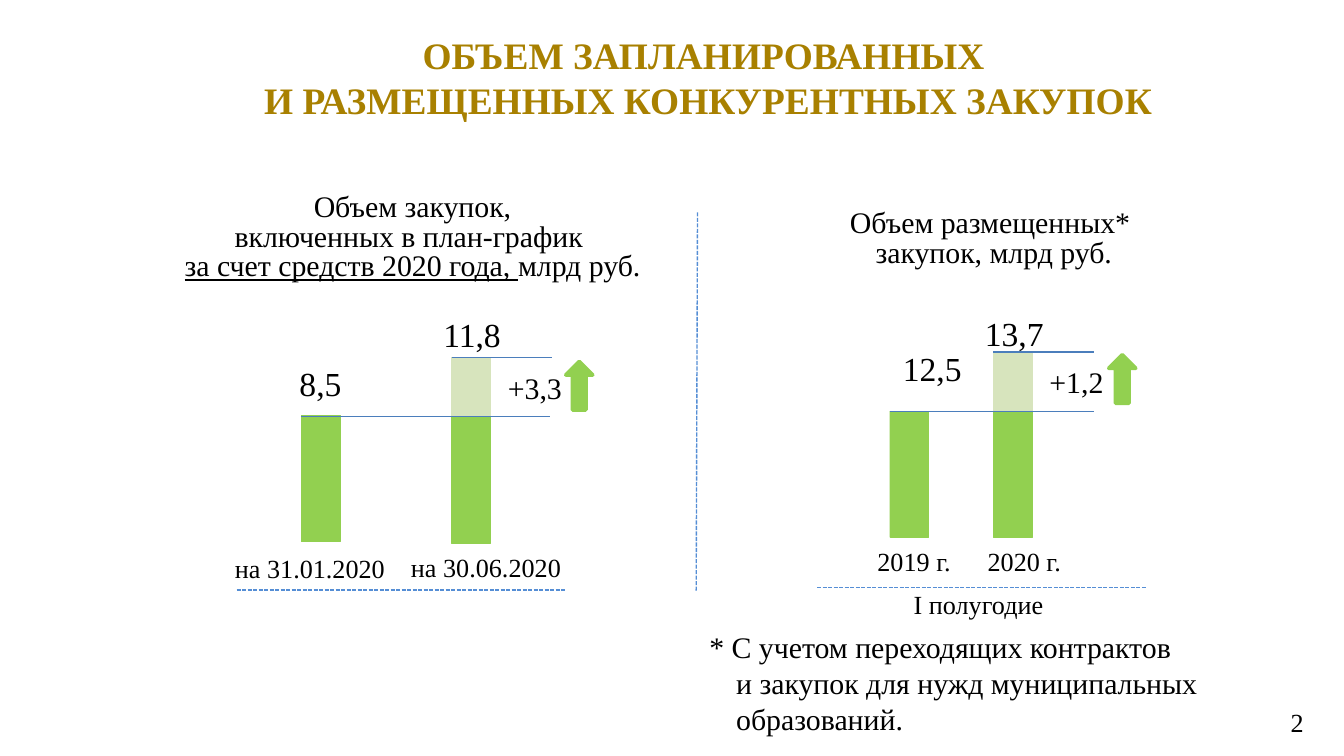
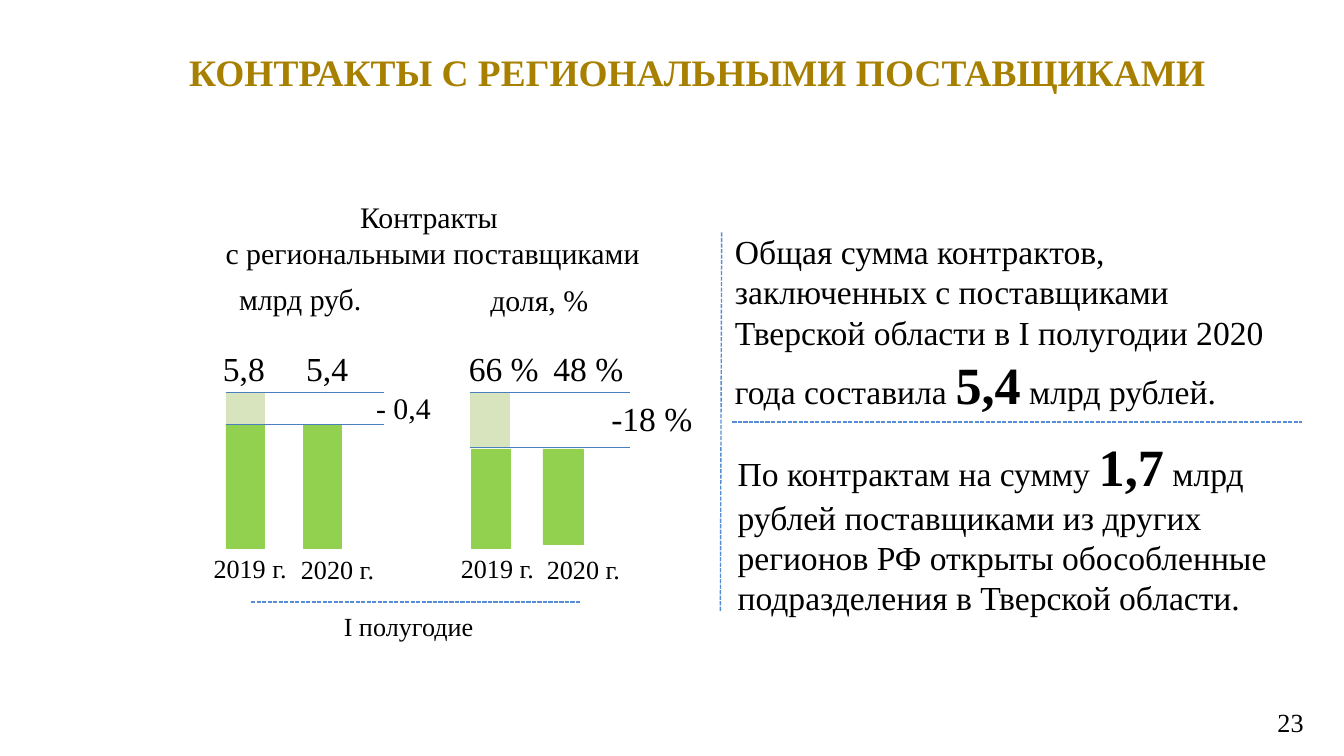
import pptx
import pptx.util
import pptx.oxml
import pptx.dml.color
import pptx.enum.dml
import pptx.enum.shapes
import pptx.enum.text
import pptx.oxml.ns
from dataclasses import dataclass, field
from typing import Any

Inches = pptx.util.Inches
Pt = pptx.util.Pt
Color = pptx.dml.color.RGBColor
Align = pptx.enum.text.PP_ALIGN
Anchor = pptx.enum.text.MSO_ANCHOR
Fit = pptx.enum.text.MSO_AUTO_SIZE
Shape = pptx.enum.shapes.MSO_SHAPE

# Shared look
FONT = "Times New Roman"
BLACK = Color(0x00, 0x00, 0x00)
GOLD = Color(0xA8, 0x80, 0x00)
GREEN = Color(0x92, 0xD0, 0x50)
PALE = Color(0xD7, 0xE4, 0xBD)
BLUE = Color(0x4B, 0x7E, 0xBC)
DASH = Color(0x55, 0x8E, 0xD5)

BASE = {"name": FONT, "size": Pt(16), "bold": False, "color": BLACK}
HEAD = {"size": Pt(20), "bold": True, "color": GOLD}
BODY = {"size": Pt(18)}
BIG = {"size": Pt(28), "bold": True}
UNDER = {"underline": True}
SLIM = {"margin_left": Inches(0.07), "margin_right": Inches(0.07),
        "margin_top": Inches(0.04), "margin_bottom": Inches(0.04)}
GROW = {"auto_size": Fit.SHAPE_TO_FIT_TEXT}
MIDDLE = {"vertical_anchor": Anchor.MIDDLE}
CENTER = {"alignment": Align.CENTER}
TIGHT = {**CENTER, "line_spacing": Pt(16)}

LINE_HIGH = {14: 0.34, 16: 0.37, 18: 0.4}
BAR_WIDE = 0.29
YEAR_WIDE = 0.75

Run = tuple[str, dict[str, Any]]


@dataclass
class Block:
    """Wrapped text: each paragraph is a list of runs."""
    left: float
    top: float
    width: float
    height: float
    paras: list[list[Run]]
    font: dict[str, Any] = field(default_factory=dict)
    para: dict[str, Any] = field(default_factory=dict)
    frame: dict[str, Any] = field(default_factory=lambda: GROW)
    wrap: bool = True
    hang: float = 0


@dataclass
class Label:
    """One short line of text."""
    left: float
    top: float
    width: float
    text: str
    size: int = 14
    wrap: bool = False


@dataclass
class Bar:
    left: float
    top: float
    height: float
    color: Color = GREEN
    width: float = BAR_WIDE


@dataclass
class Rule:
    """A straight line, level unless an end height is given."""
    left: float
    top: float
    right: float
    end: float | None = None
    dashed: bool = False


@dataclass
class Arrow:
    left: float
    top: float


def apply(target: Any, values: dict[str, Any]) -> None:
    for key, value in values.items():
        if key == "color":
            target.color.rgb = value
        else:
            setattr(target, key, value)


def draw_block(slide: Any, block: Block) -> None:
    box = slide.shapes.add_textbox(Inches(block.left), Inches(block.top),
                                   Inches(block.width), Inches(block.height))
    frame = box.text_frame
    apply(frame, {"word_wrap": block.wrap, **block.frame})
    for index, runs in enumerate(block.paras):
        para = frame.add_paragraph() if index else frame.paragraphs[0]
        if block.hang:
            props = para._p.get_or_add_pPr()
            props.set("marL", str(Inches(block.hang)))
            props.set("indent", str(-Inches(block.hang)))
        apply(para, block.para)
        for text, style in runs:
            for row, part in enumerate(text.split("\n")):
                if row:
                    para.add_line_break()
                run = para.add_run()
                run.text = part
                apply(run.font, {**BASE, **block.font, **style})


def draw_label(slide: Any, label: Label) -> None:
    draw_block(slide, Block(label.left, label.top, label.width,
                            LINE_HIGH[label.size], [[(label.text, {})]],
                            {"size": Pt(label.size)}, wrap=label.wrap))


def draw_solid(slide: Any, kind: Any, spot: tuple[float, ...],
               color: Color, line: float) -> Any:
    shape = slide.shapes.add_shape(kind, *(Inches(n) for n in spot))
    shape.shadow.inherit = False
    shape.fill.solid()
    shape.fill.fore_color.rgb = color
    apply(shape.line, {"color": color, "width": Pt(line)})
    return shape


def draw_bar(slide: Any, bar: Bar) -> None:
    spot = (bar.left, bar.top, bar.width, bar.height)
    draw_solid(slide, Shape.RECTANGLE, spot, bar.color, 0.25)


def draw_arrow(slide: Any, arrow: Arrow) -> None:
    spot = (arrow.left, arrow.top, 0.2, 0.36)
    draw_solid(slide, Shape.DOWN_ARROW, spot, GREEN, 2).rotation = 180


def draw_rule(slide: Any, rule: Rule) -> None:
    end = rule.top if rule.end is None else rule.end
    line = slide.shapes.add_connector(
        pptx.enum.shapes.MSO_CONNECTOR.STRAIGHT, Inches(rule.left),
        Inches(rule.top), Inches(rule.right), Inches(end))
    apply(line.line, {"color": DASH if rule.dashed else BLUE,
                      "width": Pt(0.75)})
    if rule.dashed:
        line.line.dash_style = pptx.enum.dml.MSO_LINE.SQUARE_DOT
    props = line._element.spPr
    props.append(pptx.oxml.parse_xml(
        "<a:effectLst %s/>" % pptx.oxml.ns.nsdecls("a")))


DRAW = {Block: draw_block, Label: draw_label, Bar: draw_bar,
        Rule: draw_rule, Arrow: draw_arrow}


def add_slide(deck: Any, title: Block, number: str, parts: list[Any]) -> None:
    slide = deck.slides.add_slide(deck.slide_layouts[6])
    page = Block(9.23, 5.2, 0.54, 0.34, [[(number, {})]], {"size": Pt(14)},
                 {"alignment": Align.RIGHT}, {**SLIM, **MIDDLE})
    for part in [title, *parts, page]:
        DRAW[type(part)](slide, part)


# Planned and placed purchases
VOLUME_TITLE = Block(
    1.65, 0.2, 7.24, 0.43,
    [[("ОБЪЕМ ЗАПЛАНИРОВАННЫХ \nИ РАЗМЕЩЕННЫХ КОНКУРЕНТНЫХ ЗАКУПОК", {})]],
    HEAD, CENTER, SLIM)

VOLUME = [
    Rule(5.19, 1.58, 5.18, 4.4, dashed=True),
    # Planned, left half
    Block(1.02, 1.39, 4.1, 0.77,
          [[("Объем закупок,\nвключенных в план-график ", {})],
           [("за счет средств 2020 года, ", UNDER), ("млрд руб.", {})]],
          para=TIGHT),
    Bar(2.24, 3.09, 0.94),
    Bar(3.36, 3.1, 0.94),
    Bar(3.36, 2.66, 0.44, PALE),
    Rule(2.24, 3.1, 4.09),
    Rule(3.36, 2.66, 4.11),
    Label(2.13, 2.65, 0.52, "8,5", 18),
    Label(3.2, 2.29, 0.63, "11,8", 18),
    Label(3.68, 2.7, 0.61, "+3,3", 16),
    Arrow(4.21, 2.69),
    Label(1.65, 4.06, 1.33, "на 31.01.2020"),
    Label(2.96, 4.05, 1.33, "на 30.06.2020"),
    Rule(1.76, 4.39, 4.21, dashed=True),
    # Placed, right half
    Block(6.21, 1.51, 2.37, 0.55,
          [[("Объем размещенных* ", {})], [("закупок, млрд руб.", {})]],
          para=TIGHT, wrap=False),
    Bar(6.62, 3.06, 0.94),
    Bar(7.39, 3.06, 0.94),
    Bar(7.39, 2.62, 0.44, PALE),
    Rule(6.62, 3.06, 8.14),
    Rule(7.39, 2.62, 8.14),
    Label(6.62, 2.54, 0.64, "12,5", 18),
    Label(7.23, 2.28, 0.64, "13,7", 18),
    Label(7.71, 2.66, 0.61, "+1,2", 16),
    Arrow(8.25, 2.64),
    Label(6.43, 4.01, YEAR_WIDE, "2019 г."),
    Label(7.25, 4.01, YEAR_WIDE, "2020 г."),
    Rule(6.08, 4.37, 8.53, dashed=True),
    Label(6.7, 4.33, 1.17, "I полугодие"),
    Block(5.18, 4.63, 4.37, 0.91,
          [[("* С учетом переходящих контрактов \n"
             "и закупок для нужд муниципальных образований.", {})]],
          hang=0.2),
]

# Contracts with local suppliers
LOCAL_TITLE = Block(
    0.86, 0.26, 8.66, 0.55,
    [[("КОНТРАКТЫ С РЕГИОНАЛЬНЫМИ ПОСТАВЩИКАМИ", {})]],
    HEAD, CENTER, MIDDLE)

LOCAL = [
    Block(1.55, 1.43, 3.34, 0.64,
          [[("Контракты ", {})], [("с региональными поставщиками", {})]],
          para=CENTER),
    # Sum
    Label(1.68, 2.04, 1.12, "млрд руб.", 16),
    Bar(1.68, 3.16, 0.92),
    Bar(2.26, 3.16, 0.92, width=0.28),
    Bar(1.68, 2.93, 0.23, PALE),
    Rule(1.68, 2.92, 2.86),
    Rule(1.68, 3.16, 2.86),
    Label(1.56, 2.54, 0.52, "5,8", 18),
    Label(2.18, 2.54, 0.52, "5,4", 18),
    Label(2.7, 2.85, 0.61, "- 0,4", 16),
    Label(1.49, 4.06, YEAR_WIDE, "2019 г."),
    Label(2.14, 4.07, YEAR_WIDE, "2020 г."),
    # Share
    Label(3.55, 2.05, 0.94, "доля, %", 16),
    Bar(3.51, 3.34, 0.74),
    Bar(3.5, 2.92, 0.4, PALE),
    Bar(4.04, 3.34, 0.71, width=0.3),
    Rule(3.5, 2.92, 4.69),
    Rule(3.5, 3.33, 4.69),
    Label(3.39, 2.54, 1, "66 %", 18, wrap=True),
    Label(4.02, 2.54, 0.73, "48 %", 18),
    Label(4.45, 2.91, 0.81, "-18 %", 18),
    Label(3.33, 4.06, YEAR_WIDE, "2019 г."),
    Label(3.97, 4.07, YEAR_WIDE, "2020 г."),
    Rule(1.87, 4.48, 4.32, dashed=True),
    Label(2.46, 4.49, 1.17, "I полугодие"),
    # Key facts
    Rule(5.37, 1.73, 5.36, 4.55, dashed=True),
    Block(5.37, 1.67, 4.19, 1.55,
          [[("Общая сумма контрактов, заключенных с поставщиками", {})],
           [("Тверской области в I полугодии 2020 года составила ", {}),
            ("5,4", BIG), (" млрд рублей.", {})]],
          BODY),
    Rule(5.45, 3.14, 9.69, dashed=True),
    Block(5.39, 3.18, 4.3, 1.48,
          [[("По контрактам на сумму ", {}), ("1,7", BIG),
            (" млрд рублей поставщиками из других регионов РФ открыты "
             "обособленные подразделения в Тверской области.", {})]],
          BODY),
]


def main() -> None:
    deck = pptx.Presentation()
    deck.slide_width = Inches(10)
    deck.slide_height = Inches(10 * 9 / 16)
    add_slide(deck, VOLUME_TITLE, "2", VOLUME)
    add_slide(deck, LOCAL_TITLE, "23", LOCAL)
    deck.save("out.pptx")


if __name__ == "__main__":
    main()
